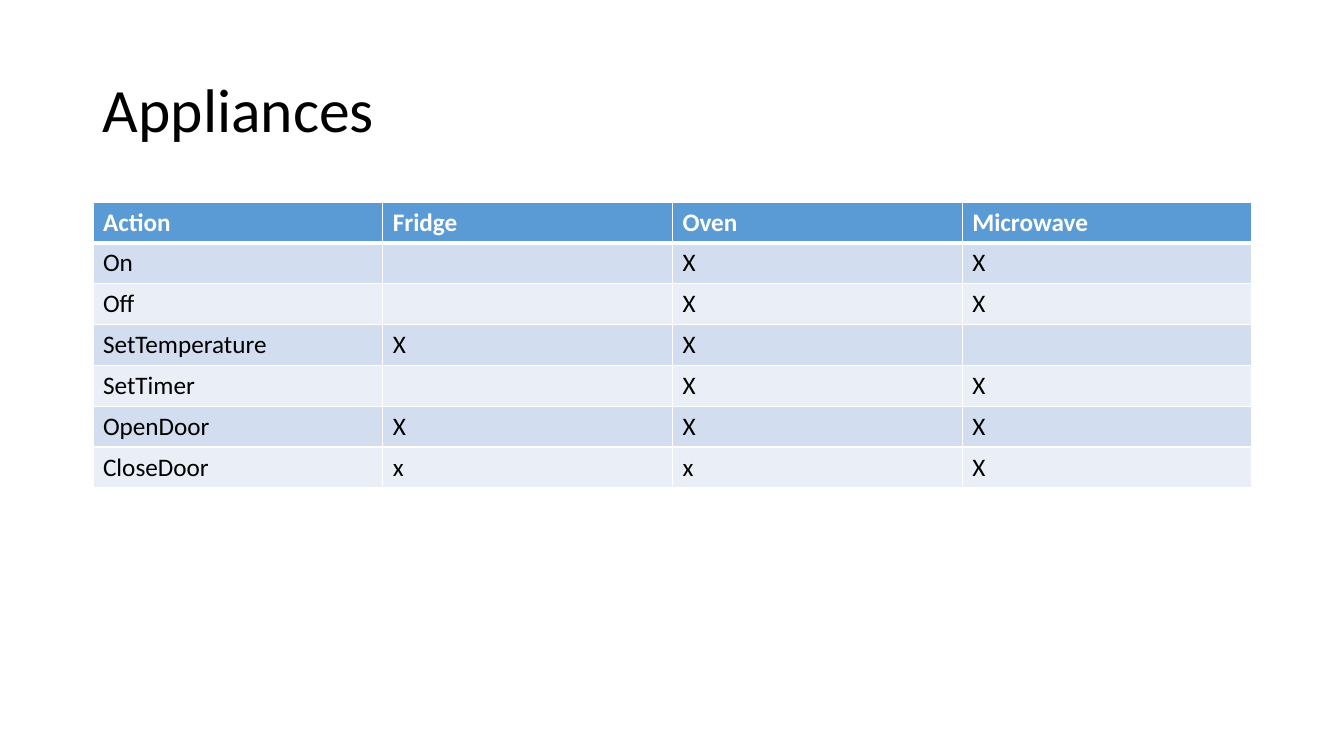
from lxml import etree
from pptx import Presentation
from pptx.dml.color import RGBColor
from pptx.enum.text import MSO_ANCHOR
from pptx.oxml.ns import qn
from pptx.util import Pt

MIDDLE = MSO_ANCHOR.MIDDLE
SCALE = 914400 / 100.8
BLACK = RGBColor(0, 0, 0)
WHITE = RGBColor(255, 255, 255)
BLUE = RGBColor(0x5B, 0x9B, 0xD5)
BANDS = RGBColor(0xEA, 0xEF, 0xF7), RGBColor(0xD2, 0xDE, 0xEF)

ROWS = [
    ("Action", "Fridge", "Oven", "Microwave"),
    ("On", "", "X", "X"),
    ("Off", "", "X", "X"),
    ("SetTemperature", "X", "X", ""),
    ("SetTimer", "", "X", "X"),
    ("OpenDoor", "X", "X", "X"),
    ("CloseDoor", "x", "x", "X"),
]


def px(*sizes):
    return [round(size * SCALE) for size in sizes]


class Deck:
    def __init__(self, width, height, font):
        self.show = Presentation()
        self.show.slide_width, self.show.slide_height = px(width, height)
        self.slide = self.show.slides.add_slide(self.show.slide_layouts[6])
        self.font = font

    def label(self, para, text, size, color, bold=False):
        run = para.add_run()
        run.text = text
        run.font.name = self.font
        run.font.size = Pt(size)
        run.font.bold = bold
        run.font.color.rgb = color

    def title(self, text, box, size):
        frame = self.slide.shapes.add_textbox(*px(*box)).text_frame
        frame.word_wrap = True
        frame.vertical_anchor = MIDDLE
        para = frame.paragraphs[0]
        para.line_spacing = 0.9
        self.label(para, text, size, BLACK)

    def edge(self, cell, side, width):
        props = cell._tc.get_or_add_tcPr()
        line = etree.SubElement(props, qn("a:ln" + side), w=str(Pt(width)))
        fill = etree.SubElement(line, qn("a:solidFill"))
        etree.SubElement(fill, qn("a:srgbClr"), val=str(WHITE))

    def table(self, rows, box, size):
        shape = self.slide.shapes.add_table(len(rows), len(rows[0]), *px(*box))
        for i, row in enumerate(rows):
            head = i == 0
            for j, text in enumerate(row):
                cell = shape.table.cell(i, j)
                for side in "LRTB":
                    thick = (i, side) in ((0, "B"), (1, "T"))
                    self.edge(cell, side, 3 if thick else 1)
                cell.fill.solid()
                cell.fill.fore_color.rgb = BLUE if head else BANDS[i % 2]
                if text:
                    para = cell.text_frame.paragraphs[0]
                    self.label(para, text, size, WHITE if head else BLACK, head)


deck = Deck(1344, 756, "Calibri")
deck.title("Appliances", (93, 40, 1159, 146), 44)
deck.table(ROWS, (93, 202, 1159, 286), 18)
deck.show.save("out.pptx")
